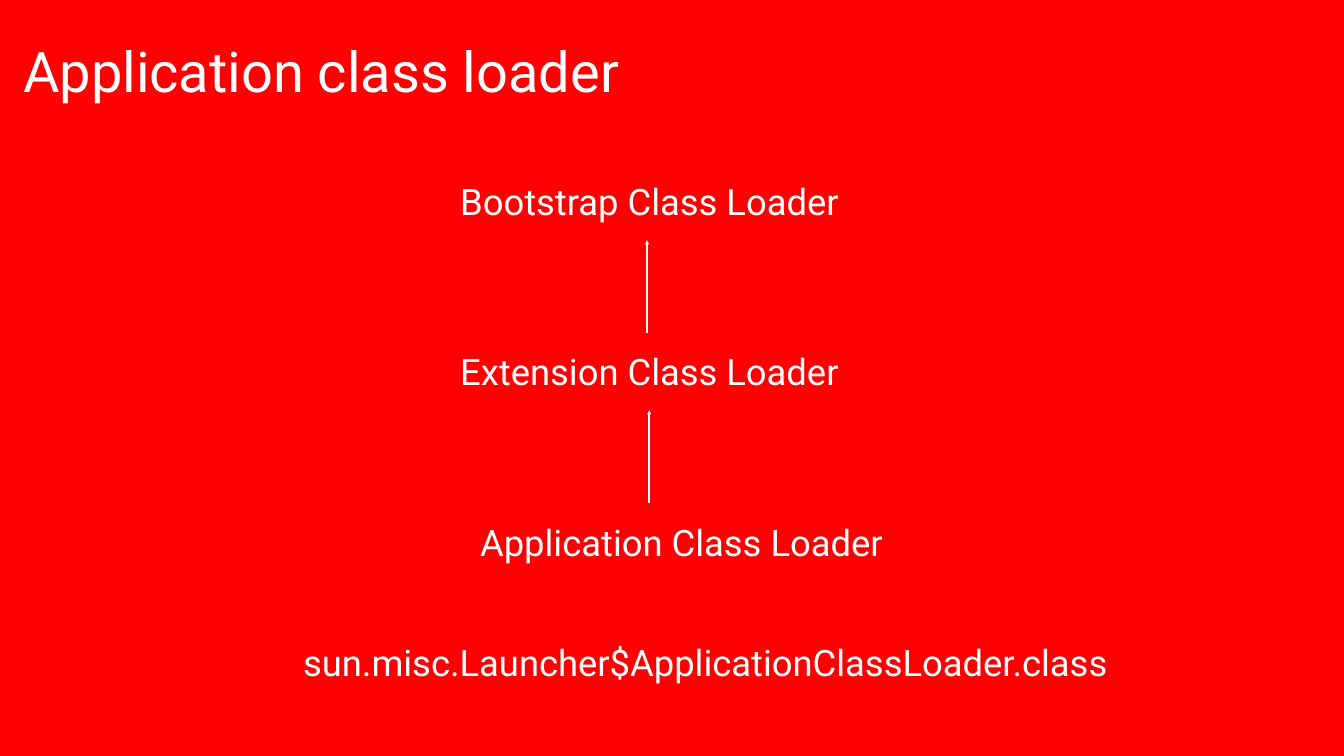
"""Build the slide on the application class loader and its parents."""
from lxml import etree
from pptx import Presentation
from pptx.dml.color import RGBColor
from pptx.enum import shapes, text
from pptx.oxml import ns
from pptx.util import Cm, Pt

RED = RGBColor(0xFF, 0x00, 0x00)
WHITE = RGBColor(0xFF, 0xFF, 0xFF)
TOP, STEP = 8.92, 8.57
LOADERS = [
    ("Bootstrap Class Loader", 22.89, 19.69),
    ("Extension Class Loader", 22.89, 19.69),
    ("Application Class Loader", 23.85, 21),
]


def write(frame, words, font="Roboto", size=52, color=WHITE):
    """Put one centred line of formatted text in a frame."""
    frame.word_wrap = False
    frame.auto_size = text.MSO_AUTO_SIZE.SHAPE_TO_FIT_TEXT
    frame.vertical_anchor = text.MSO_ANCHOR.MIDDLE
    frame.margin_left = frame.margin_right = Cm(0.15)
    frame.margin_top = frame.margin_bottom = Cm(0.15)
    line = frame.paragraphs[0]
    line.alignment = text.PP_ALIGN.CENTER
    line.line_spacing = 1.0
    run = line.add_run()
    run.text = words
    run.font.name = font
    run.font.size = Pt(size)
    run.font.color.rgb = color


class Deck:
    """Hold the style and the current slide."""

    def __init__(self, slide, fill=RED, ink=WHITE):
        """Set the background and ink of the slide."""
        self.slide = slide
        self.ink = ink
        back = slide.background.fill
        back.solid()
        back.fore_color.rgb = fill

    def title(self, words, left, top, width, height):
        """Place and fill the title."""
        title = self.slide.shapes.title
        title.left, title.top = Cm(left), Cm(top)
        title.width, title.height = Cm(width), Cm(height)
        write(title.text_frame, words, size=80, color=self.ink)

    def label(self, words, left, top, width, height=2.46):
        """Add a line of text."""
        box = self.slide.shapes.add_textbox(
            Cm(left), Cm(top), Cm(width), Cm(height))
        write(box.text_frame, words, color=self.ink)

    def arrow(self, x, start, end):
        """Add an upright arrow."""
        line = self.slide.shapes.add_connector(
            shapes.MSO_CONNECTOR.STRAIGHT, Cm(x), Cm(start), Cm(x), Cm(end))
        line.line.color.rgb = self.ink
        line.line.width = Pt(2)
        etree.SubElement(line.line._get_or_add_ln(), ns.qn("a:tailEnd"),
                         type="triangle")
        etree.SubElement(line._element.spPr, ns.qn("a:effectLst"))


def main():
    """Build and save the slide."""
    show = Presentation()
    show.slide_width, show.slide_height = Cm(67.74), Cm(38.1)
    deck = Deck(show.slides.add_slide(show.slide_layouts[5]))
    deck.title("Application class loader", 0.84, 1.68, 30.73, 3.66)
    for row, (name, left, width) in enumerate(LOADERS):
        deck.label(name, left, TOP + row * STEP, width)
    for row, x in enumerate((32.61, 32.72)):
        top = TOP + row * STEP
        deck.arrow(x, top + 7.87, top + 3.18)
    deck.label("sun.misc.Launcher$ApplicationClassLoader.class",
               14.94, 32.11, 41.22)
    show.save("out.pptx")


if __name__ == "__main__":
    main()
